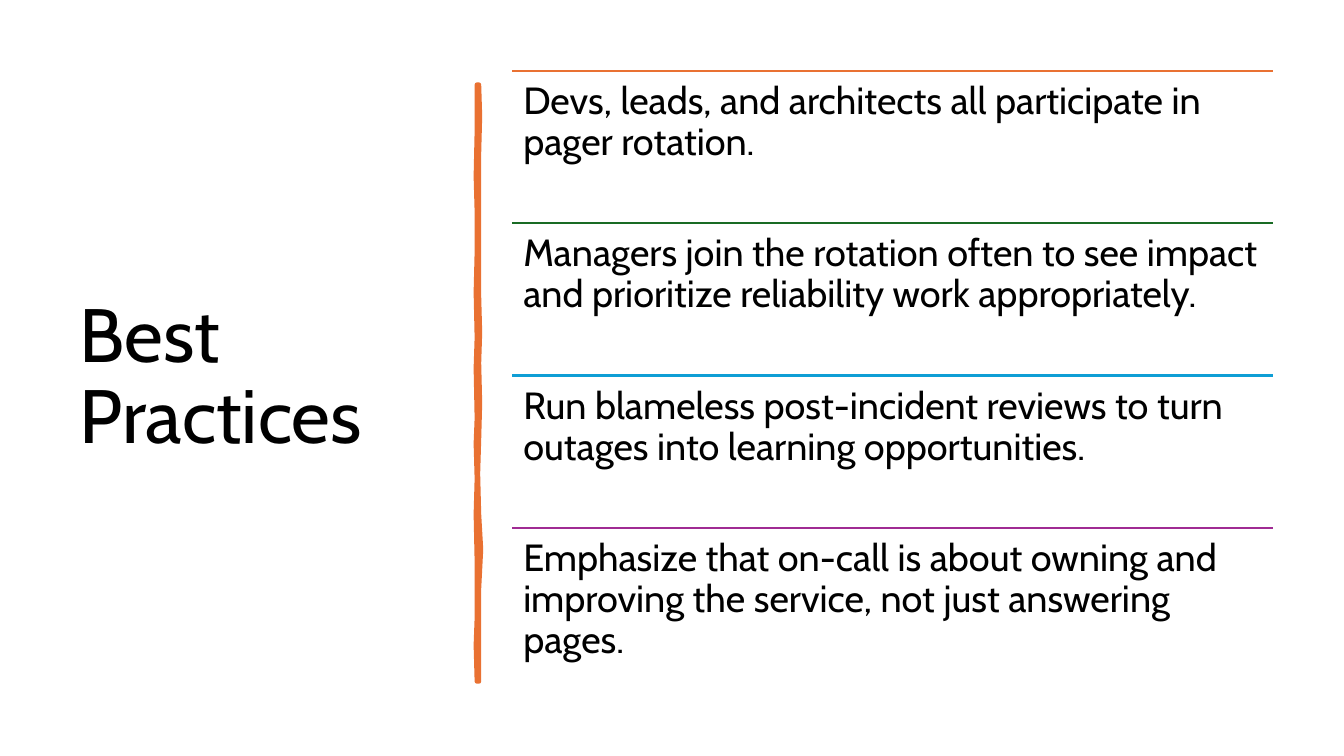
from dataclasses import dataclass
from lxml.etree import SubElement
from pptx import Presentation
from pptx.dml.color import RGBColor
from pptx.enum.shapes import MSO_CONNECTOR
from pptx.enum.text import MSO_ANCHOR
from pptx.oxml.ns import qn
from pptx.util import Inches, Pt

TITLE = "Best Practices"
RULES = [
    ("E97132", "Devs, leads, and architects all participate in pager rotation."),
    ("196B24", "Managers join the rotation often to see impact and prioritize reliability work appropriately."),
    ("0F9ED5", "Run blameless post-incident reviews to turn outages into learning opportunities."),
    ("A02B93", "Emphasize that on-call is about owning and improving the service, not just answering pages."),
]
RIGHT = [
    (4.75, 0.84), (4.76, 1.15), (4.75, 1.52), (4.75, 2.26), (4.75, 2.94),
    (4.76, 3.3), (4.75, 3.6), (4.76, 4.0), (4.75, 4.36), (4.74, 4.7),
    (4.75, 5.1), (4.77, 5.45), (4.75, 5.84), (4.75, 6.3), (4.75, 6.76),
]
LEFT = [
    (4.73, 6.76), (4.72, 6.4), (4.73, 6.13), (4.73, 5.57), (4.72, 5.1),
    (4.73, 4.75), (4.72, 4.4), (4.73, 4.15), (4.72, 3.65), (4.73, 3.35),
    (4.72, 2.9), (4.73, 2.5), (4.73, 2.1), (4.72, 1.75), (4.73, 1.3), (4.73, 0.84),
]


@dataclass(frozen=True)
class Theme:
    font: str = "Cabin"
    ink: str = "000000"
    bar: str = "E97132"
    head: float = 54
    body: float = 27
    rule: float = 1.5
    brush: float = 3.25
    lead: float = 0.9


WIDE, HIGH = 13.33, 7.5
TOP, LOW = 0.7, 6.75
ROW = (LOW - TOP) / len(RULES)
COL, SPAN = 5.08, 7.55
look = Theme()


def tint(code):
    return RGBColor.from_string(code)


def write(slide, text, box, size, inset, anchor):
    frame = slide.shapes.add_textbox(*map(Inches, box)).text_frame
    frame.word_wrap = True
    frame.vertical_anchor = anchor
    frame.margin_left = frame.margin_right = Inches(inset[0])
    frame.margin_top = frame.margin_bottom = Inches(inset[1])
    para = frame.paragraphs[0]
    para.line_spacing = look.lead
    run = para.add_run()
    run.text = text
    run.font.name = look.font
    run.font.size = Pt(size)
    run.font.color.rgb = tint(look.ink)


def brush(slide):
    points = [(Inches(x), Inches(y)) for x, y in RIGHT + LEFT]
    pen = slide.shapes.build_freeform(*points[0], scale=1.0)
    pen.add_line_segments(points[1:], close=True)
    bar = pen.convert_to_shape()
    bar.shadow.inherit = False
    bar.fill.solid()
    bar.fill.fore_color.rgb = tint(look.bar)
    bar.line.color.rgb = tint(look.bar)
    bar.line.width = Pt(look.brush)
    SubElement(bar.line._get_or_add_ln(), qn("a:round"))


def rule(slide, top, color):
    ends = map(Inches, (COL, top, COL + SPAN, top))
    line = slide.shapes.add_connector(MSO_CONNECTOR.STRAIGHT, *ends)
    line.line.color.rgb = tint(color)
    line.line.width = Pt(look.rule)
    SubElement(line._element.spPr, qn("a:effectLst"))


def main():
    deck = Presentation()
    deck.slide_width, deck.slide_height = Inches(WIDE), Inches(HIGH)
    slide = deck.slides.add_slide(deck.slide_layouts[6])
    write(slide, TITLE, (0.69, TOP, 3.74, 6.11), look.head, (0.1, 0.05), MSO_ANCHOR.MIDDLE)
    brush(slide)
    for step, (color, text) in enumerate(RULES):
        top = TOP + step * ROW
        rule(slide, top, color)
        write(slide, text, (COL, top, SPAN, ROW), look.body, (0.11, 0.11), MSO_ANCHOR.TOP)
    deck.save("out.pptx")


if __name__ == "__main__":
    main()
